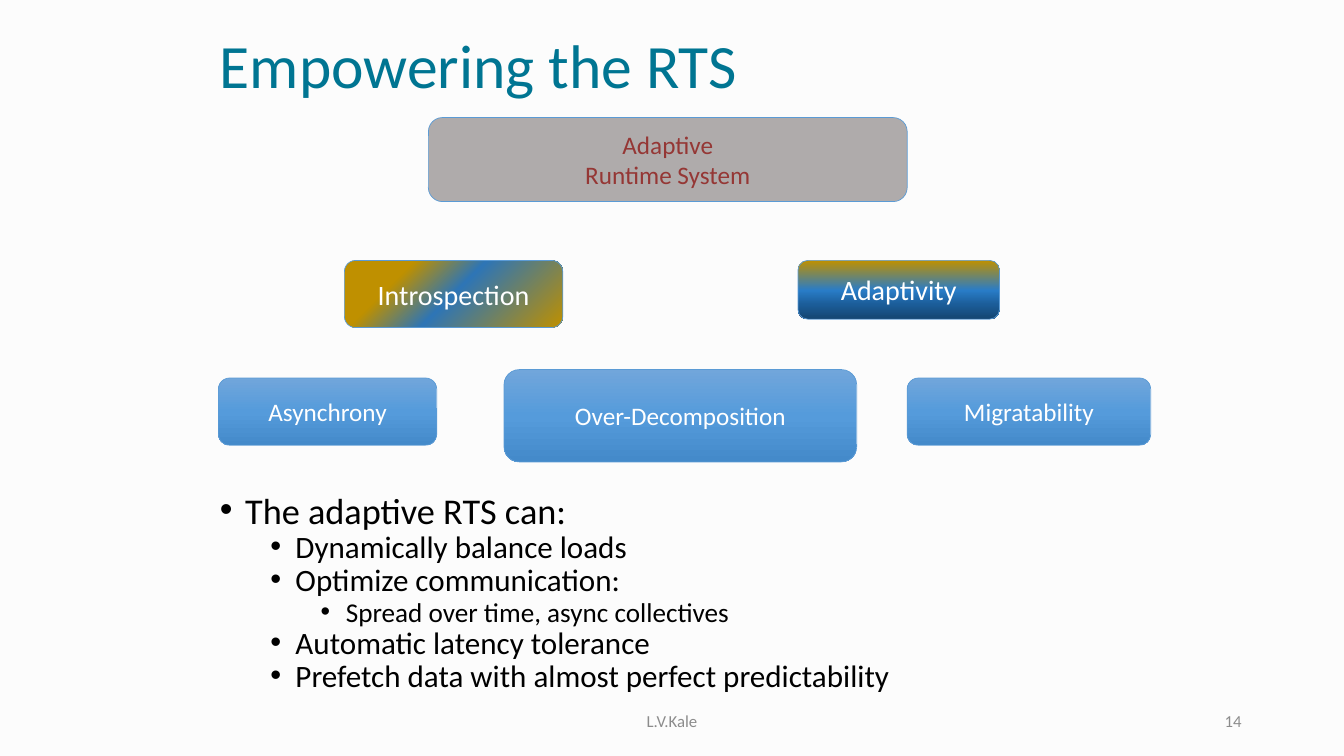
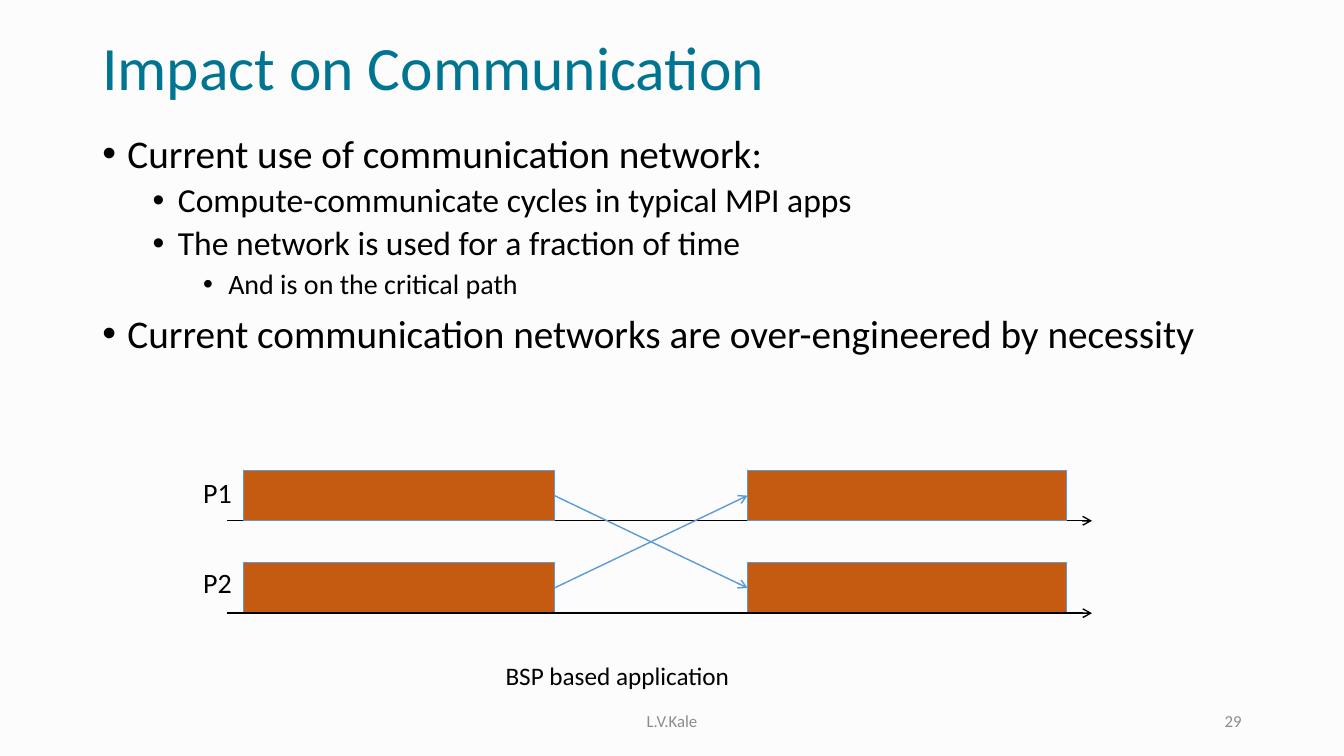
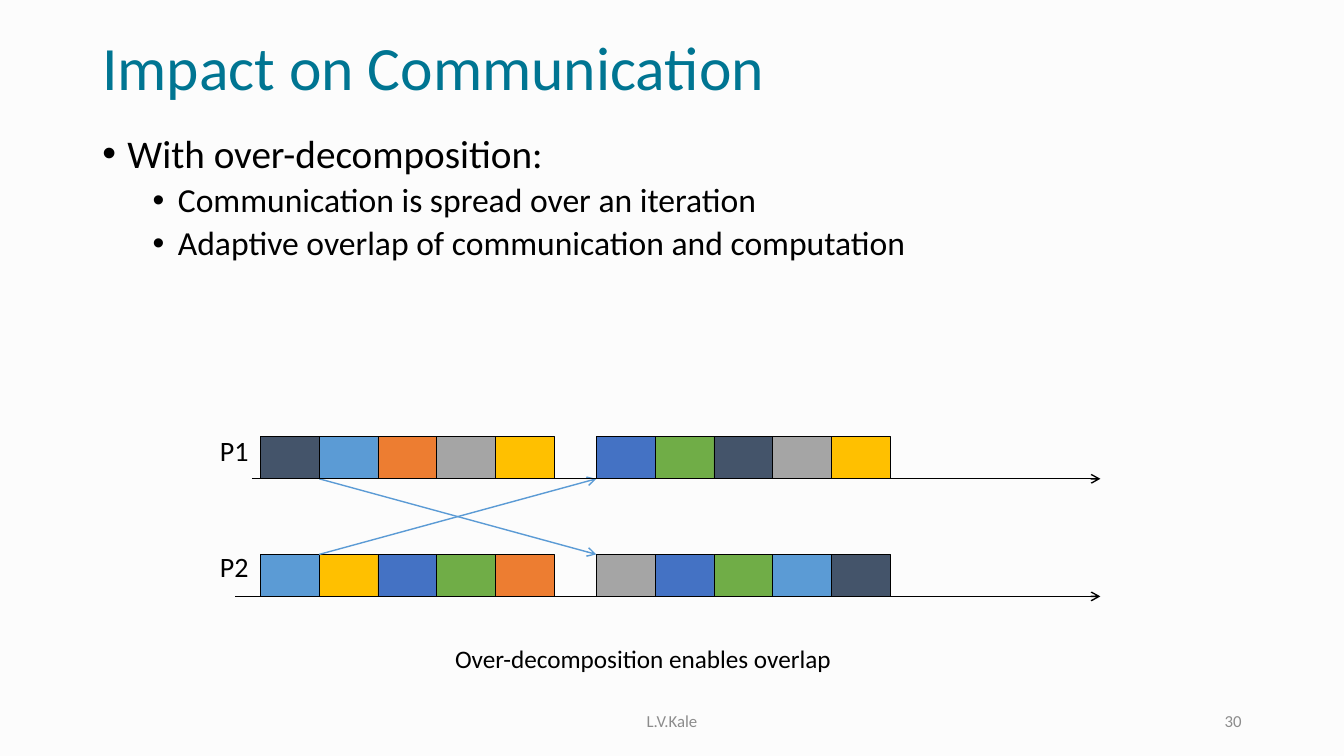
from dataclasses import dataclass

from lxml.etree import SubElement
from pptx import Presentation
from pptx.dml.color import RGBColor as Rgb
from pptx.enum.shapes import MSO_CONNECTOR as Connector, MSO_SHAPE as Preset
from pptx.enum.text import MSO_ANCHOR as Anchor, MSO_AUTO_SIZE as AutoSize, PP_ALIGN as Align
from pptx.oxml import parse_xml
from pptx.oxml.ns import nsdecls, qn
from pptx.util import Inches, Pt


@dataclass(frozen=True)
class Theme:
    font: str = "Calibri"
    paper: str = "FCFCFC"
    ink: str = "000000"
    white: str = "FFFFFF"
    title: str = "007592"
    footer: str = "8C8C8C"
    edge: str = "5B9BD5"
    runtime_fill: str = "AFABAB"
    runtime_text: str = "953735"
    compute: str = "C55A11"
    slate: str = "44546A"
    sky: str = "5B9BD5"
    orange: str = "ED7D31"
    gray: str = "A5A5A5"
    gold: str = "FFC000"
    blue: str = "4472C4"
    green: str = "70AD47"
    title_size: float = 44
    concept_size: float = 20
    label_size: float = 20
    caption_size: float = 18
    footer_size: float = 12
    body_sizes: tuple = (28, 24, 20)
    dense_sizes: tuple = (25.9, 22.2, 19.4)
    thin: float = 0.5
    arrow: float = 1


THEME = Theme()
COLUMNS, ROWS = 160, 90
CELL = Inches(7.5) / ROWS
DOWNWARD = '<a:lin ang="5400000" scaled="0"/>'
FROM_CORNER = '<a:path path="circle"><a:fillToRect l="100000" t="100000"/></a:path>'
FOUNDATION = ([(0, "71A6DB"), (50, "559BDB"), (100, "448ACA")], DOWNWARD)
INTROSPECTION = ([(0, "BF9000"), (50, "2E75B6"), (75, "BF9000")], FROM_CORNER)
ADAPTIVITY = ([(0, "BF9000"), (51, "297CC7"), (75, "1B5D99"), (100, "144571")], DOWNWARD)


def cells(*counts):
    return [round(count * CELL) for count in counts]


def assign(target, formats):
    for name, value in formats.items():
        setattr(target, name, value)


def style_line(line, color, width):
    line.color.rgb = Rgb.from_string(color)
    line.width = Pt(width)


def write(paragraph, words, size, color, **formats):
    run = paragraph.add_run()
    run.text = words
    assign(run.font, {"name": THEME.font, "size": Pt(size)})
    run.font.color.rgb = Rgb.from_string(color)
    assign(paragraph, formats)


def text(slide, area, words, size, color, frame=None, **formats):
    box = slide.shapes.add_textbox(*cells(*area)).text_frame
    assign(box, {"word_wrap": True, **(frame or {})})
    write(box.paragraphs[0], words, size, color, **formats)


def note(slide, area, words, size):
    text(slide, area, words, size, THEME.ink, {"auto_size": AutoSize.SHAPE_TO_FIT_TEXT})


def bullets(slide, area, items, sizes, spacing):
    frame = slide.shapes.add_textbox(*cells(*area)).text_frame
    frame.word_wrap = True
    for index, (level, words) in enumerate(items):
        paragraph = frame.add_paragraph() if index else frame.paragraphs[0]
        write(paragraph, words, sizes[level], THEME.ink, level=level,
              line_spacing=spacing, space_before=Pt(5 if level else 10))
        properties = paragraph._p.get_or_add_pPr()
        properties.set("marL", str(Inches(0.25 + 0.5 * level)))
        properties.set("indent", str(-Inches(0.25)))
        SubElement(properties, qn("a:buFont")).set("typeface", "Arial")
        SubElement(properties, qn("a:buChar")).set("char", "•")


def block(slide, area, fill, edge, preset=Preset.RECTANGLE):
    shape = slide.shapes.add_shape(preset, *cells(*area))
    shape.shadow.inherit = False
    style_line(shape.line, edge, THEME.thin)
    if isinstance(fill, str):
        shape.fill.solid()
        shape.fill.fore_color.rgb = Rgb.from_string(fill)
    else:
        blend(shape, *fill)
    return shape


def blend(shape, stops, direction):
    marks = "".join(f'<a:gs pos="{share * 1000}"><a:srgbClr val="{color}"/></a:gs>'
                    for share, color in stops)
    gradient = parse_xml(f'<a:gradFill {nsdecls("a")} rotWithShape="1">'
                         f'<a:gsLst>{marks}</a:gsLst>{direction}</a:gradFill>')
    shape.fill.background()
    properties = shape.element.spPr
    properties.replace(properties.find(qn("a:noFill")), gradient)


def concept(slide, area, lines, fill, size=THEME.caption_size, color=THEME.white):
    frame = block(slide, area, fill, THEME.edge, Preset.ROUNDED_RECTANGLE).text_frame
    assign(frame, {"word_wrap": True, "vertical_anchor": Anchor.MIDDLE})
    for index, words in enumerate(lines):
        paragraph = frame.add_paragraph() if index else frame.paragraphs[0]
        write(paragraph, words, size, color, alignment=Align.CENTER)


def arrow(slide, start, end, color):
    link = slide.shapes.add_connector(Connector.STRAIGHT, *cells(*start, *end))
    style_line(link.line, color, THEME.arrow)
    properties = link.element.spPr
    SubElement(properties.find(qn("a:ln")), qn("a:tailEnd")).set("type", "arrow")
    SubElement(properties, qn("a:effectLst"))
    return link


def timeline(slide, left, right, row):
    arrow(slide, (left, row), (right, row), THEME.ink)


def new_slide(deck, title, number, title_area=(11, 3.4, 138, 10.1)):
    slide = deck.slides.add_slide(deck.slide_layouts[6])
    middle = {"vertical_anchor": Anchor.MIDDLE}
    text(slide, title_area, title, THEME.title_size, THEME.title, middle, line_spacing=0.9)
    for left, width, words, alignment in ((53, 54, "L.V.Kale", Align.CENTER),
                                          (113, 36, number, Align.RIGHT)):
        text(slide, (left, 83.4, width, 4.8), words, THEME.footer_size, THEME.footer,
             middle, alignment=alignment)
    return slide


def communication_slide(deck, number, items):
    slide = new_slide(deck, "Impact on Communication", number)
    bullets(slide, (11, 15.4, 138, 65.8), items, THEME.body_sizes, 0.9)
    return slide


def empowering(deck):
    slide = new_slide(deck, "Empowering the RTS", "14", (25, 3, 109, 10.4))
    bullets(slide, (25, 59, 109, 26), [
        (0, "The adaptive RTS can:"),
        (1, "Dynamically balance loads"),
        (1, "Optimize communication:"),
        (2, "Spread over time, async collectives"),
        (1, "Automatic latency tolerance"),
        (1, "Prefetch data with almost perfect predictability"),
    ], THEME.dense_sizes, 0.7)
    for area, words in (((26, 45, 26, 8), "Asynchrony"),
                        ((60, 44, 42, 11), "Over-Decomposition"),
                        ((108, 45, 29, 8), "Migratability")):
        concept(slide, area, [words], FOUNDATION)
    concept(slide, (51, 14, 57, 10), ["Adaptive", "Runtime System"],
            THEME.runtime_fill, color=THEME.runtime_text)
    concept(slide, (41, 31, 26, 8), ["Introspection"], INTROSPECTION, THEME.concept_size)
    concept(slide, (95, 31, 24, 7), ["Adaptivity"], ADAPTIVITY, THEME.concept_size)


def bulk_synchronous(deck):
    slide = communication_slide(deck, "29", [
        (0, "Current use of communication network:"),
        (1, "Compute-communicate cycles in typical MPI apps"),
        (1, "The network is used for a fraction of time"),
        (2, "And is on the critical path"),
        (0, "Current communication networks are over-engineered by necessity"),
    ])
    height, (upper, lower) = 6, (56, 67)
    timeline(slide, 27, 130, upper + height)
    phases = [[block(slide, (left, top, width, height), THEME.compute, THEME.edge)
               for left, width in ((29, 37), (89, 38))] for top in (upper, lower)]
    for sender, receiver in ((0, 1), (1, 0)):
        message = arrow(slide, (66, upper), (89, lower), THEME.edge)
        message.begin_connect(phases[sender][0], 3)
        message.end_connect(phases[receiver][1], 1)
    timeline(slide, 27, 130, lower + height)
    for name, top in (("P1", upper), ("P2", lower - 0.3)):
        note(slide, (23, top, 7, 5.3), name, THEME.label_size)
    note(slide, (59, 78, 44, 4.8), "BSP based application", THEME.caption_size)


def over_decomposed(deck):
    slide = communication_slide(deck, "30", [
        (0, "With over-decomposition:"),
        (1, "Communication is spread over an iteration"),
        (1, "Adaptive overlap of communication and computation"),
    ])
    t = THEME
    width, height, starts, (upper, lower) = 7, 5, (31, 71), (52, 66)
    iterations = {
        upper: ((t.slate, t.sky, t.orange, t.gray, t.gold),
                (t.blue, t.green, t.slate, t.gray, t.gold)),
        lower: ((t.sky, t.gold, t.blue, t.green, t.orange),
                (t.gray, t.blue, t.green, t.sky, t.slate)),
    }
    for top, pair in iterations.items():
        for start, tasks in zip(starts, pair):
            for index, color in enumerate(tasks):
                block(slide, (start + index * width, top, width, height), color, t.ink)
    sent, received = starts[0] + width, starts[1]
    for source, target in ((upper + height, lower), (lower, upper + height)):
        arrow(slide, (sent, source), (received, target), t.edge)
    for left, top in ((30, upper), (28, lower)):
        timeline(slide, left, 131, top + height)
    for name, top in (("P1", 51), ("P2", 64.8)):
        note(slide, (25, top, 7, 5.3), name, t.label_size)
    note(slide, (53, 76, 60, 4.8), "Over-decomposition enables overlap", t.caption_size)


def main():
    deck = Presentation()
    deck.slide_width, deck.slide_height = cells(COLUMNS, ROWS)
    backdrop = deck.slide_master.background.fill
    backdrop.solid()
    backdrop.fore_color.rgb = Rgb.from_string(THEME.paper)
    for build in (empowering, bulk_synchronous, over_decomposed):
        build(deck)
    deck.save("out.pptx")


if __name__ == "__main__":
    main()
